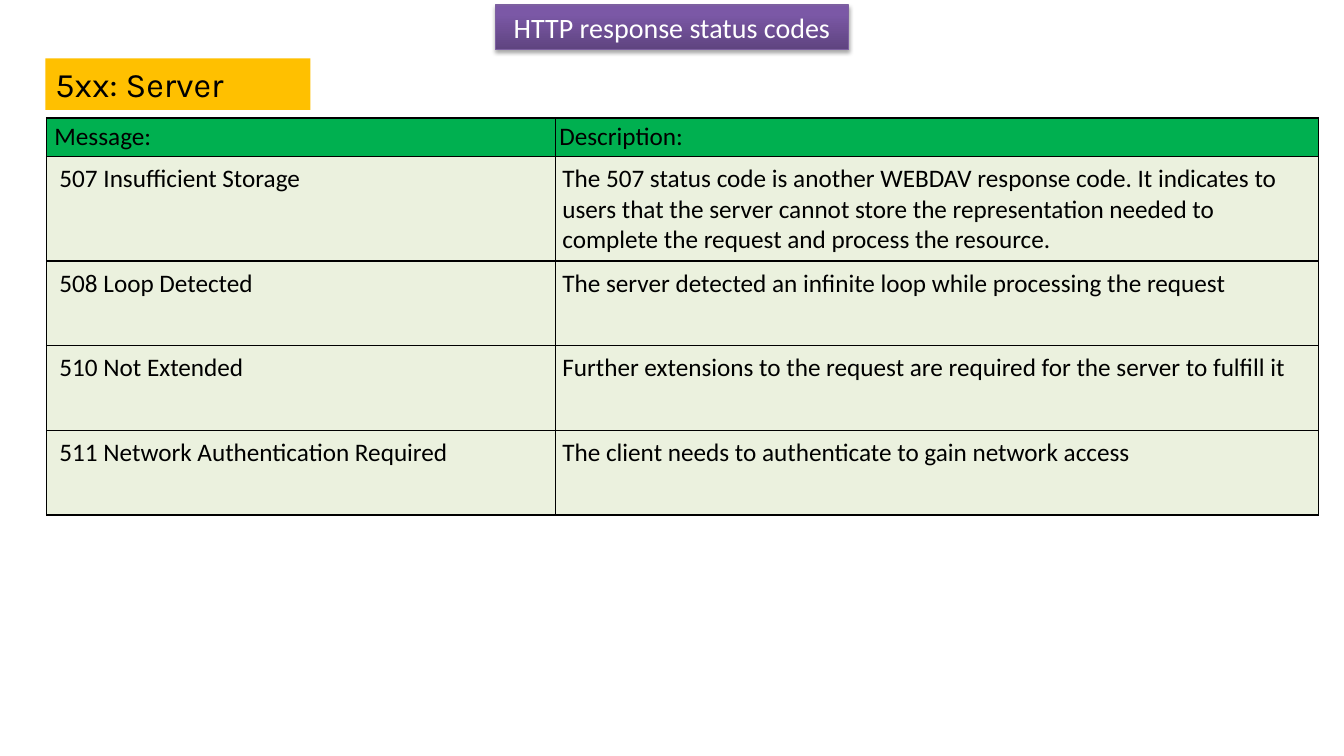
from lxml import etree
from pptx import Presentation
from pptx import util as u
from pptx.dml.color import RGBColor
from pptx.enum import shapes, text
from pptx.oxml import parse_xml
from pptx.oxml.ns import nsdecls, qn


def rgb(value):
    return RGBColor.from_string(value)


def write(tf, words, size, font="Calibri", color="000000"):
    """Put one formatted run in the first paragraph and return the paragraph."""
    p = tf.paragraphs[0]
    r = p.add_run()
    r.text = words
    r.font.size, r.font.name = u.Pt(size), font
    r.font.color.rgb = rgb(color)
    return p


STATUS_CODES = [
    ("Message:", "Description:"),
    ("507 Insufficient Storage",
     "The 507 status code is another WEBDAV response code. It indicates to users "
     "that the server cannot store the representation needed to complete the "
     "request and process the resource."),
    ("508 Loop Detected",
     "The server detected an infinite loop while processing the request"),
    ("510 Not Extended",
     "Further extensions to the request are required for the server to fulfill it"),
    ("511 Network Authentication Required",
     "The client needs to authenticate to gain network access"),
]

prs = Presentation()
prs.slide_width, prs.slide_height = u.Inches(13.33), u.Inches(7.5)
s = prs.slides.add_slide(prs.slide_layouts[6])

# Title banner, centred on the slide
width = u.Inches(3.5)
title = s.shapes.add_shape(shapes.MSO_SHAPE.RECTANGLE, (prs.slide_width - width) // 2,
                           u.Inches(0.05), width, u.Inches(0.44))
title.fill.gradient()
title.fill.gradient_angle = 90
for stop, (position, color) in zip(title.fill.gradient_stops,
                                   [(0, "5F4480"), (0.8, "7B58A6")]):
    stop.position, stop.color.rgb = position, rgb(color)
title.line.color.rgb = rgb("7D60A0")
title.line.width = u.Pt(0.75)
title.shadow.inherit = False
title._element.spPr.find(qn("a:effectLst")).append(parse_xml(
    f'<a:outerShdw {nsdecls("a")} blurRad="{u.Pt(3.1)}" dist="{u.Pt(1.8)}" '
    'dir="5400000" rotWithShape="0"><a:srgbClr val="000000">'
    '<a:alpha val="35000"/></a:srgbClr></a:outerShdw>'))
tf = title.text_frame
tf.word_wrap = True
tf.vertical_anchor = text.MSO_ANCHOR.MIDDLE
write(tf, "HTTP response status codes", 20, color="FFFFFF").alignment = text.PP_ALIGN.CENTER

# Section label
label = s.shapes.add_textbox(u.Inches(0.45), u.Inches(0.58), u.Inches(2.63), u.Inches(0.51))
label.fill.solid()
label.fill.fore_color.rgb = rgb("FFC000")
label.text_frame.word_wrap = True
write(label.text_frame, "5xx: Server", 24.5, "Karla")

# Status code table, columns in the ratio 2 : 3
width = u.Inches(12.62)
table = s.shapes.add_table(len(STATUS_CODES), 2, u.Inches(0.46), u.Inches(1.17),
                           width, u.Inches(3.93)).table
for column, share in zip(table.columns, (0.4, 0.6)):
    column.width = int(width * share)

for i, entry in enumerate(STATUS_CODES):
    header = i == 0
    table.rows[i].height = u.Inches(0.34 if header else 0.84)
    margin = 0.04 if header else 0.07
    indent = 0.08 if header else 0.13
    for j, words in enumerate(entry):
        cell = table.cell(i, j)
        cell.margin_top = cell.margin_right = cell.margin_bottom = u.Inches(margin)
        cell.margin_left = u.Inches(indent if j == 0 else margin)
        p = write(cell.text_frame, words, 18)
        p.runs[0].font.bold = False
        tcPr = cell._tc.get_or_add_tcPr()
        for side in ("a:lnL", "a:lnR", "a:lnT", "a:lnB"):
            ln = etree.SubElement(tcPr, qn(side), w=str(u.Pt(1)))
            fill = etree.SubElement(ln, qn("a:solidFill"))
            etree.SubElement(fill, qn("a:srgbClr"), val="000000")
        cell.fill.solid()
        cell.fill.fore_color.rgb = rgb("00B050" if header else "EBF1DE")

prs.save("out.pptx")
